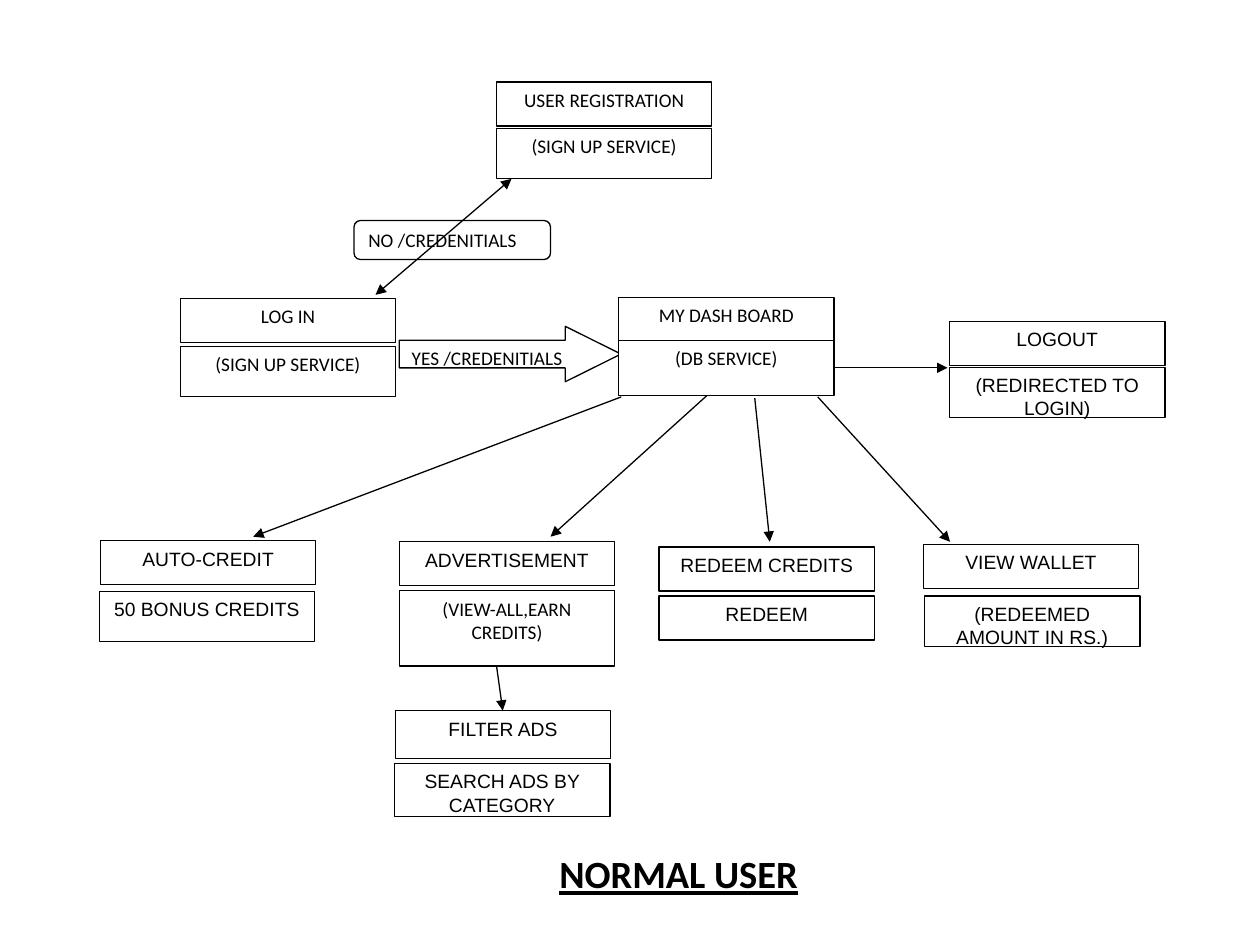
from lxml import etree
from pptx import Presentation
from pptx import util as u
from pptx.dml.color import RGBColor
from pptx.enum import shapes, text
from pptx.oxml.ns import qn

SHAPE = shapes.MSO_SHAPE
CENTER, LEFT = text.PP_ALIGN.CENTER, text.PP_ALIGN.LEFT


def rgb(color):
    return RGBColor.from_string(color)


class Diagram:
    ink, paper = '000000', 'FFFFFF'
    line_width, box_width = 0.75, 123.1

    def __init__(self, slide):
        self.s = slide

    def label(self, tf, words, font, align=CENTER, **fmt):
        tf.word_wrap = True
        tf.vertical_anchor = text.MSO_ANCHOR.TOP
        p = tf.paragraphs[0]
        p.alignment = align
        r = p.add_run()
        r.text = words
        for name, value in {'name': font, 'size': u.Pt(11), **fmt}.items():
            setattr(r.font, name, value)
        r.font.color.rgb = rgb(self.ink)
        return p

    def shape(self, kind, x, y, w, h, words, font, align=CENTER, adj=()):
        sp = self.s.shapes.add_shape(kind, u.Pt(x), u.Pt(y), u.Pt(w), u.Pt(h))
        sp.shadow.inherit = False
        for i, value in enumerate(adj):
            sp.adjustments[i] = value
        sp.fill.solid()
        sp.fill.fore_color.rgb = rgb(self.paper)
        sp.line.color.rgb = rgb(self.ink)
        sp.line.width = u.Pt(self.line_width)
        self.label(sp.text_frame, words, font, align)

    def box(self, x, y, h, words, font):
        self.shape(SHAPE.RECTANGLE, x, y, self.box_width, h, words, font)

    def arrow(self, x1, y1, x2, y2, ends=('tailEnd',)):
        cn = self.s.shapes.add_connector(
            shapes.MSO_CONNECTOR.STRAIGHT, u.Pt(x1), u.Pt(y1), u.Pt(x2), u.Pt(y2))
        cn.line.color.rgb = rgb(self.ink)
        cn.line.width = u.Pt(self.line_width)
        spPr = cn._element.spPr
        ln = spPr.find(qn('a:ln'))
        for end in ends:
            etree.SubElement(ln, qn('a:' + end), type='triangle')
        etree.SubElement(spPr, qn('a:effectLst'))

    def title(self, x, y, w, h, words, font):
        tb = self.s.shapes.add_textbox(u.Pt(x), u.Pt(y), u.Pt(w), u.Pt(h))
        p = self.label(tb.text_frame, words, font, size=u.Pt(22), bold=True, underline=True)
        pPr = p._p.get_or_add_pPr()
        pPr.set('marL', str(int(u.Pt(36))))
        pPr.set('indent', '0')


prs = Presentation()
prs.slide_width, prs.slide_height = u.Pt(720), u.Pt(540)
d = Diagram(prs.slides.add_slide(prs.slide_layouts[6]))

d.shape(SHAPE.RIGHT_ARROW, 228.2, 186.5, 126.7, 31.7,
        'YES /CREDENITIALS', 'Calibri', LEFT, (0.5, 1.006))
d.shape(SHAPE.ROUNDED_RECTANGLE, 202.3, 126, 112.3, 22.3,
        'NO /CREDENITIALS', 'Calibri', LEFT, (0.167,))

boxes = [
    (283.7, 46.8, 25.2, 'USER REGISTRATION', 'Calibri'),
    (283.7, 73.4, 28.8, '(SIGN UP SERVICE)', 'Calibri'),
    (103, 170.6, 25.2, 'LOG IN', 'Calibri'),
    (103, 198, 28.8, '(SIGN UP SERVICE)', 'Calibri'),
    (353.5, 169.9, 25.2, 'MY DASH BOARD', 'Calibri'),
    (353.5, 194.4, 31.7, '(DB SERVICE)', 'Calibri'),
    (542.6, 183.6, 25.2, 'LOGOUT', 'Arial'),
    (542.6, 210, 28.8, '(REDIRECTED TO LOGIN)', 'Arial'),
    (57.4, 308.9, 25.2, 'AUTO-CREDIT', 'Arial'),
    (56.7, 338, 28.8, '50 BONUS CREDITS', 'Arial'),
    (228.2, 309.6, 25.2, 'ADVERTISEMENT', 'Arial'),
    (228.2, 337.5, 43.2, '(VIEW-ALL,EARN CREDITS)', 'Calibri'),
    (376.6, 312.5, 25.2, 'REDEEM CREDITS', 'Arial'),
    (376.6, 340.6, 25.2, 'REDEEM', 'Arial'),
    (527.6, 311, 25.2, 'VIEW WALLET', 'Arial'),
    (528.3, 340.6, 28.8, '(REDEEMED AMOUNT IN RS.)', 'Arial'),
    (225.9, 406.1, 27.4, 'FILTER ADS', 'Arial'),
    (225.4, 436.3, 30.2, 'SEARCH ADS BY CATEGORY', 'Arial'),
]
for box in boxes:
    d.box(*box)

arrows = [
    (355, 226.8, 144.7, 306.7),
    (403.9, 226.1, 314.6, 306.7),
    (431.3, 227.5, 439.9, 309.6),
    (467.3, 226.8, 542.9, 309.6),
    (476.6, 210.2, 541.4, 210.2),
    (283.7, 380.2, 287.3, 406.1),
]
for ends in arrows:
    d.arrow(*ends)
d.arrow(214.6, 168.5, 292.3, 102.2, ('headEnd', 'tailEnd'))

d.title(135.4, 482.4, 468.7, 108.7, 'NORMAL USER', 'Calibri')

prs.save("out.pptx")
